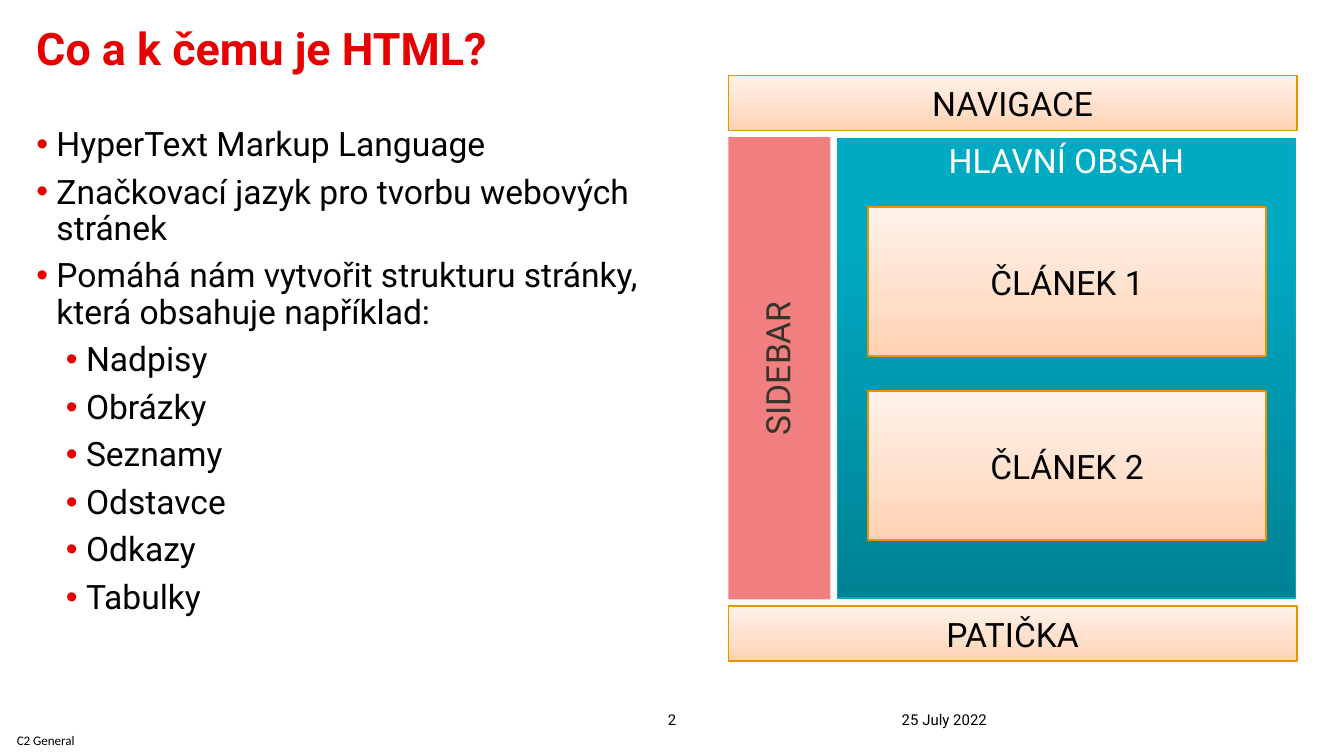
from lxml.etree import SubElement
from pptx import Presentation
from pptx.dml.color import RGBColor
from pptx.enum.shapes import MSO_SHAPE
from pptx.enum.text import MSO_ANCHOR, PP_ALIGN
from pptx.oxml.ns import qn
from pptx.util import Inches, Pt

RED, BLACK, WHITE, GREY = "E60000", "000000", "FFFFFF", "34342B"
PEACH = [(0, "FFD1B0"), (35, "FFDEC8"), (100, "FFF2EA")]
TEAL = [(0, "008295"), (80, "00AAC3"), (100, "00ABC4")]


def rgb(value):
    """Turn a hex string into a colour."""
    return RGBColor.from_string(value)


class Page:
    """Holds the text style and the slide being built."""

    def __init__(self, slide, font="Roboto", size=18):
        """Keep the slide and the default font."""
        self.s, self.font, self.size = slide, font, size

    def frame(self, tf, anchor, inset=0, wrap=True):
        """Set anchor, insets and wrapping of a text frame."""
        tf.word_wrap, tf.vertical_anchor = wrap, anchor
        tf.margin_left = tf.margin_top = Inches(inset)
        tf.margin_right = tf.margin_bottom = Inches(inset)
        return tf

    def run(self, p, text, color, size=None, font=None, bold=False):
        """Add one styled run to a paragraph."""
        r = p.add_run()
        r.text = text
        r.font.name, r.font.size = font or self.font, Pt(size or self.size)
        r.font.bold, r.font.color.rgb = bold, rgb(color)

    def text(self, box, text, color=BLACK, anchor=MSO_ANCHOR.BOTTOM,
             align=PP_ALIGN.LEFT, spacing=1.0, wrap=True, **style):
        """Add a one-paragraph text box."""
        sp = self.s.shapes.add_textbox(*map(Inches, box))
        p = self.frame(sp.text_frame, anchor, wrap=wrap).paragraphs[0]
        p.alignment, p.line_spacing = align, spacing
        self.run(p, text, color, **style)

    def bullets(self, box, items):
        """Add a list of (level, text) items with red bullets."""
        sp = self.s.shapes.add_textbox(*map(Inches, box))
        tf = self.frame(sp.text_frame, MSO_ANCHOR.TOP)
        for i, (level, text) in enumerate(items):
            p = tf.add_paragraph() if i else tf.paragraphs[0]
            p.level, p.line_spacing = level, 0.9
            p.space_before = Pt(6 if i else 0)
            pPr = p._p.get_or_add_pPr()
            pPr.set("marL", str(Inches(0.15 + 0.22 * level)))
            pPr.set("indent", str(Inches(-0.15)))
            color = SubElement(pPr, qn("a:buClr"))
            SubElement(color, qn("a:srgbClr"), val=RED)
            SubElement(pPr, qn("a:buFont"), typeface="Arial")
            SubElement(pPr, qn("a:buChar"), char="•")
            self.run(p, text, BLACK)

    def block(self, box, text, color=BLACK, anchor=MSO_ANCHOR.MIDDLE):
        """Add a rectangle with a centred label."""
        sp = self.s.shapes.add_shape(MSO_SHAPE.RECTANGLE, *map(Inches, box))
        sp.shadow.inherit = False
        p = self.frame(sp.text_frame, anchor, inset=0.01).paragraphs[0]
        p.alignment = PP_ALIGN.CENTER
        self.run(p, text, color)
        return sp

    def gradient_block(self, box, text, stops=PEACH, line="E69400", **label):
        """Add an outlined block whose gradient runs upwards."""
        sp = self.block(box, text, **label)
        sp.line.color.rgb, sp.line.width = rgb(line), Pt(0.75)
        sp.fill.gradient()
        sp.fill.gradient_angle = 90
        stop_list = sp._element.spPr.find(qn("a:gradFill")).find(qn("a:gsLst"))
        stop_list.clear()
        for pos, color in stops:
            stop = SubElement(stop_list, qn("a:gs"), pos=str(pos * 1000))
            SubElement(stop, qn("a:srgbClr"), val=color)

    def sidebar(self, box, text):
        """Add a half-transparent block turned to read upwards."""
        sp = self.block(box, text, color=GREY)
        sp.rotation = 270
        sp.line.fill.background()
        sp.fill.solid()
        sp.fill.fore_color.rgb = rgb(RED)
        color = sp._element.spPr.find(qn("a:solidFill")).find(qn("a:srgbClr"))
        SubElement(color, qn("a:alpha"), val="50000")
        sp.text_frame.paragraphs[0].line_spacing = 0.9


def main():
    """Build the slide and save it."""
    prs = Presentation()
    prs.slide_width = Inches(10)
    prs.slide_height = prs.slide_width * 9 // 16
    page = Page(prs.slides.add_slide(prs.slide_layouts[6]))

    page.text((0, 5.44, 0.68, 0.14), "C2 General", anchor=MSO_ANCHOR.MIDDLE,
              align=PP_ALIGN.CENTER, size=7, font="Calibri")
    page.text((4.93, 5.28, 0.14, 0.14), "2", align=PP_ALIGN.CENTER,
              wrap=False, size=8)
    page.text((6.71, 5.28, 2.33, 0.14), "25 July 2022", size=8)
    page.text((0.27, 0.23, 9.44, 0.73), "Co a k čemu je HTML?", RED,
              anchor=MSO_ANCHOR.TOP, spacing=0.8, size=24, bold=True)

    topics = ["HyperText Markup Language",
              "Značkovací jazyk pro tvorbu webových stránek",
              "Pomáhá nám vytvořit strukturu stránky, která obsahuje například:"]
    parts = ["Nadpisy", "Obrázky", "Seznamy", "Odstavce", "Odkazy", "Tabulky"]
    page.bullets((0.27, 0.95, 4.61, 3.94),
                 [(0, t) for t in topics] + [(1, t) for t in parts])

    page.sidebar((4.08, 2.36, 3.44, 0.76), "SIDEBAR")
    page.gradient_block((6.23, 1.03, 3.41, 3.42), "HLAVNÍ OBSAH", TEAL,
                        "00ACC5", color=WHITE, anchor=MSO_ANCHOR.TOP)
    for top, label in [(0.56, "NAVIGACE"), (4.51, "PATIČKA")]:
        page.gradient_block((5.42, top, 4.23, 0.41), label)
    for i in range(2):
        page.gradient_block((6.46, 1.54 + 1.37 * i, 2.96, 1.11),
                            f"ČLÁNEK {i + 1}")

    prs.save("out.pptx")


if __name__ == "__main__":
    main()
